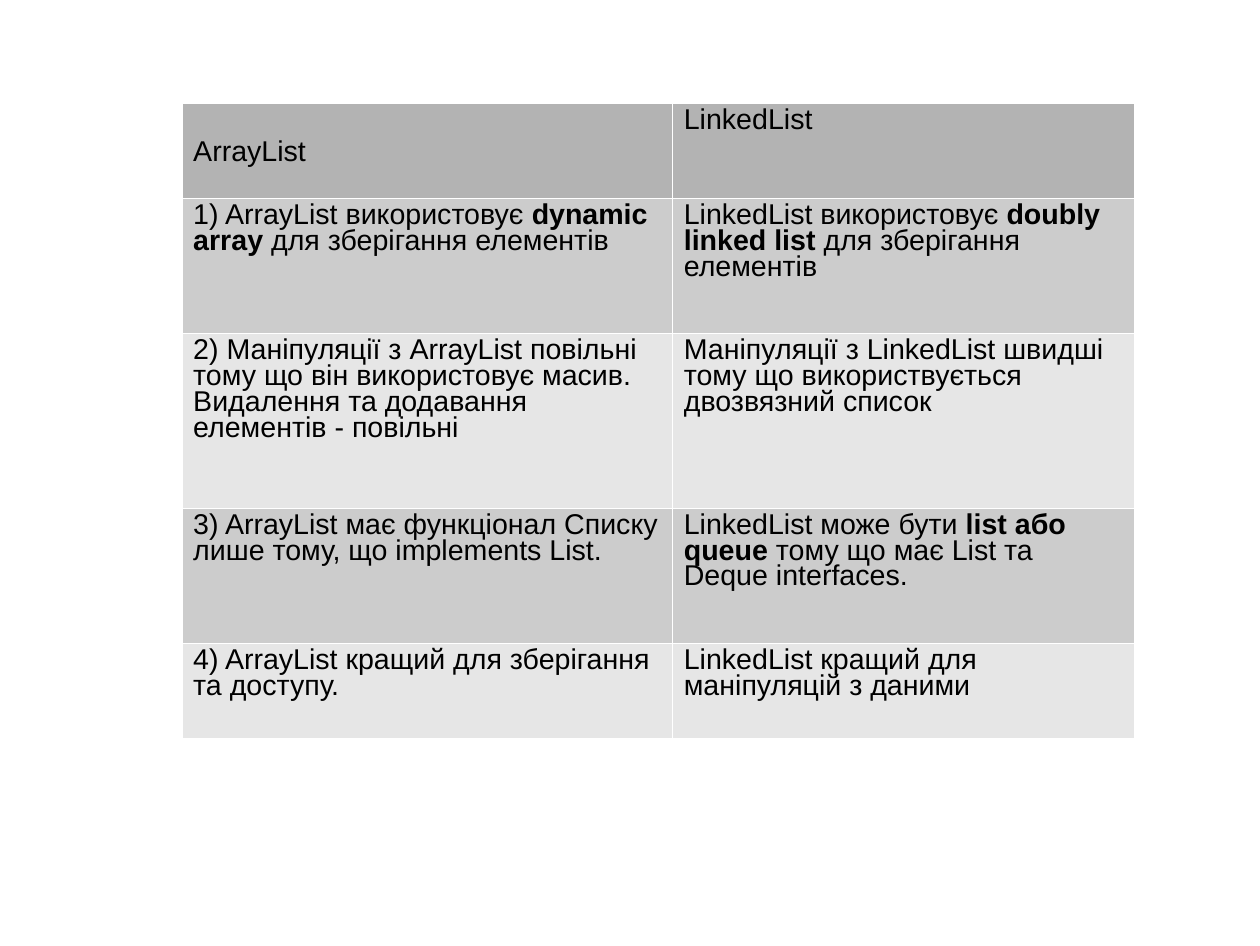
from dataclasses import dataclass

from lxml import etree
from pptx import Presentation
from pptx.dml.color import RGBColor
from pptx.oxml.ns import qn
from pptx.util import Pt


@dataclass(frozen=True)
class Theme:
    font: str = "Arial"
    size: float = 18
    leading: float = 0.81
    ink: str = "000000"
    head: str = "B3B3B3"
    bands: tuple = ("CCCCCC", "E6E6E6")
    rule: str = "FFFFFF"
    rule_width: float = 0.06


THEME = Theme()
BLANK = 6
SIDES = ("a:lnL", "a:lnR", "a:lnT", "a:lnB")
BOX = (114.5, 64.6, 599.5, 400)
COLS = (309, 290.5)
ROWS = (60, 85, 110, 85, 60)
HEAD_DROP = 23.8

# Each cell is a list of runs; every second run is bold.
CELLS = (
    (["ArrayList"], ["LinkedList"]),
    (["1) ArrayList використовує ", "dynamic array", " для зберігання елементів"],
     ["LinkedList використовує ", "doubly linked list", " для зберігання елементів"]),
    (["2) Маніпуляції з ArrayList повільні тому що він використовує масив. "
      "Видалення та додавання елементів - повільні"],
     ["Маніпуляції з LinkedList швидші тому що використвується двозвязний список"]),
    (["3) ArrayList має функціонал Списку лише тому, що implements List."],
     ["LinkedList може бути", " list або queue", " тому що має List та Deque interfaces."]),
    (["4) ArrayList кращий для зберігання та доступу."],
     ["LinkedList кращий для маніпуляцій з даними"]),
)


def rule_cell(cell):
    props = cell._tc.get_or_add_tcPr()
    for side in SIDES:
        line = etree.SubElement(props, qn(side), w=str(Pt(THEME.rule_width)))
        fill = etree.SubElement(line, qn("a:solidFill"))
        etree.SubElement(fill, qn("a:srgbClr"), val=THEME.rule)


def fill_cell(cell, texts, color):
    rule_cell(cell)
    cell.fill.solid()
    cell.fill.fore_color.rgb = RGBColor.from_string(color)
    para = cell.text_frame.paragraphs[0]
    para.line_spacing = THEME.leading
    for i, text in enumerate(texts):
        run = para.add_run()
        run.text = text
        font = run.font
        font.name = THEME.font
        font.size = Pt(THEME.size)
        font.bold = i % 2 == 1
        font.color.rgb = RGBColor.from_string(THEME.ink)


def add_grid(slide, box):
    frame = slide.shapes.add_table(len(ROWS), len(COLS), *map(Pt, box))
    table = frame.table
    table.first_row = table.horz_banding = False
    left, top, width, height = box
    for col, share in zip(table.columns, COLS):
        col.width = Pt(width * share / sum(COLS))
    for row, share in zip(table.rows, ROWS):
        row.height = Pt(height * share / sum(ROWS))
    for r, line in enumerate(CELLS):
        color = THEME.bands[(r - 1) % 2] if r else THEME.head
        for c, texts in enumerate(line):
            fill_cell(table.cell(r, c), texts, color)
    table.cell(0, 0).margin_top = Pt(HEAD_DROP)


def main():
    deck = Presentation()
    deck.slide_width, deck.slide_height = Pt(793.5), Pt(595.5)
    slide = deck.slides.add_slide(deck.slide_layouts[BLANK])
    add_grid(slide, BOX)
    deck.save("out.pptx")


if __name__ == "__main__":
    main()
